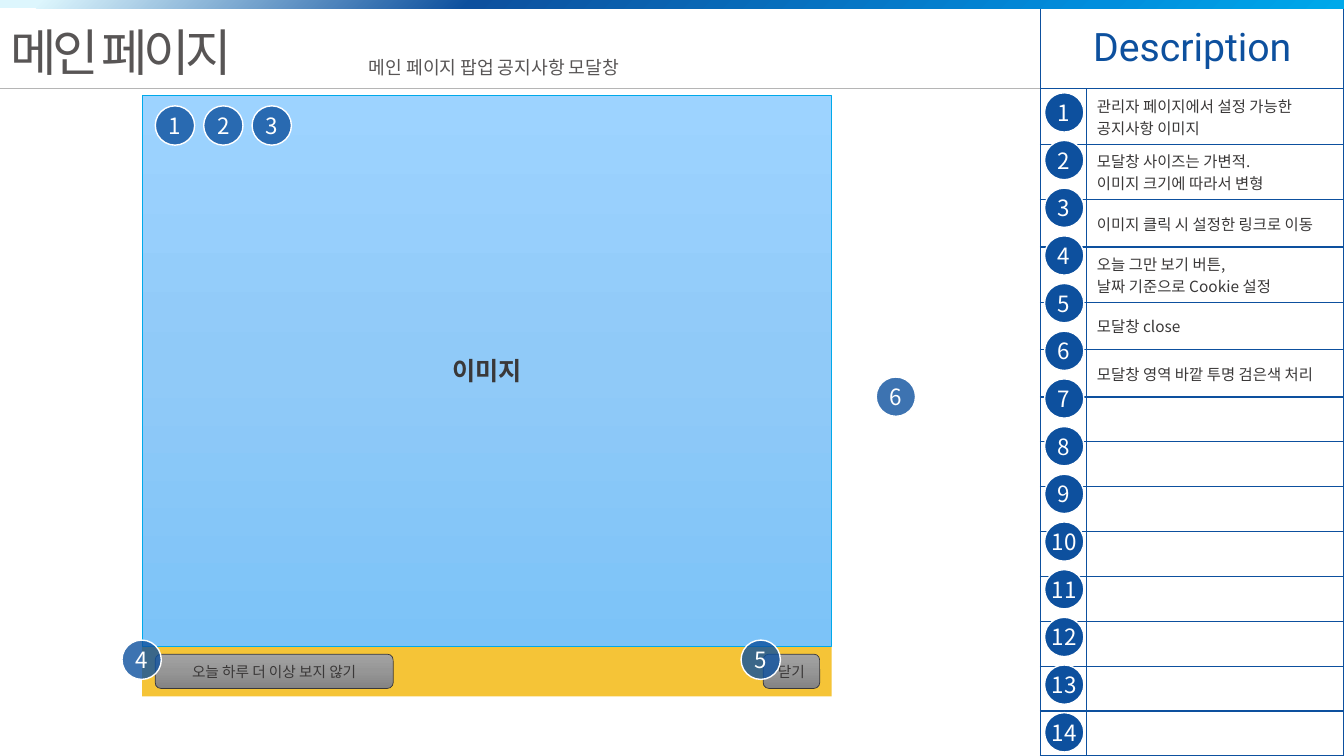
from dataclasses import dataclass
from typing import Optional

import pptx
import pptx.util
from pptx.dml.color import RGBColor
from pptx.enum.shapes import MSO_CONNECTOR, MSO_SHAPE
from pptx.enum.text import MSO_ANCHOR, MSO_AUTO_SIZE, PP_ALIGN
from pptx.oxml.ns import qn
from pptx.util import Inches
from lxml import etree

NAVY = RGBColor(0x0D, 0x50, 0x9E)
CYAN = RGBColor(0x00, 0xA9, 0xEA)
WHITE = RGBColor(0xFF, 0xFF, 0xFF)
DARK = RGBColor(0x3A, 0x38, 0x38)
GRAY = RGBColor(0x58, 0x55, 0x55)
RULE = RGBColor(0xB5, 0xB5, 0xB5)
YELLOW = RGBColor(0xF5, 0xC4, 0x37)

Stops = list[tuple[int, RGBColor]]
BAR_STOPS: Stops = [(3, RGBColor(0xDD, 0xF6, 0xFD)), (35, NAVY),
                    (82, RGBColor(0x01, 0x8E, 0xDD)), (100, CYAN)]
IMAGE_STOPS: Stops = [(0, RGBColor(0x9D, 0xD3, 0xFF)), (50, RGBColor(0x90, 0xCA, 0xF8)),
                      (100, RGBColor(0x7C, 0xC3, 0xF8))]
BUTTON_STOPS: Stops = [(0, RGBColor(0xA3, 0xA3, 0xA3)), (50, RGBColor(0x96, 0x96, 0x96)),
                       (100, RGBColor(0x84, 0x83, 0x83))]

KR = "Noto Sans CJK KR"
BADGE = 0.39
TABLE_TOP, TABLE_H, HEADER_H = 0.08, 7.42, 0.8
LINE_ROW_H = {1: 0.47, 2: 0.55}  # row height by number of text lines


@dataclass
class Badge:
    number: int
    x: float
    y: float
    opacity: int = 80


@dataclass
class Button:
    text: str
    x: float
    w: float


def add_run(p, text: str, size: float, color: RGBColor, font: str = KR,
            bold: bool = False):
    r = p.add_run()
    r.text = text
    r.font.size = pptx.util.Pt(size)
    r.font.color.rgb = color
    r.font.bold = bold
    r.font.name = font
    etree.SubElement(r._r.get_or_add_rPr(), qn("a:ea")).set("typeface", font)
    return r


def set_gradient(sp, stops: Stops, angle: int) -> None:
    sp.fill.gradient()
    sp.fill.gradient_angle = 360 - angle
    gs_list = sp.element.spPr.find(f".//{qn('a:gsLst')}")
    for gs in list(gs_list):
        gs_list.remove(gs)
    for pos, color in stops:
        gs = etree.SubElement(gs_list, qn("a:gs"), pos=str(pos * 1000))
        etree.SubElement(gs, qn("a:srgbClr"), val=str(color))


def add_box(s, kind: MSO_SHAPE, x: float, y: float, w: float, h: float,
            line: Optional[RGBColor] = None, width: float = 0.5):
    sp = s.shapes.add_shape(kind, Inches(x), Inches(y), Inches(w), Inches(h))
    sp.shadow.inherit = False
    if line is None:
        sp.line.fill.background()
    else:
        sp.line.color.rgb = line
        sp.line.width = pptx.util.Pt(width)
    return sp


def add_label(sp, text: str, size: float, color: RGBColor, bold: bool = False) -> None:
    tf = sp.text_frame
    tf.vertical_anchor = MSO_ANCHOR.MIDDLE
    p = tf.paragraphs[0]
    p.alignment = PP_ALIGN.CENTER
    add_run(p, text, size, color, bold=bold)


def add_badge(s, badge: Badge) -> None:
    sp = add_box(s, MSO_SHAPE.OVAL, badge.x, badge.y, BADGE, BADGE, WHITE, 1)
    sp.fill.solid()
    sp.fill.fore_color.rgb = NAVY
    if badge.opacity < 100:
        clr = sp.element.spPr.find(f"{qn('a:solidFill')}/{qn('a:srgbClr')}")
        etree.SubElement(clr, qn("a:alpha"), val=str(badge.opacity * 1000))
    tf = sp.text_frame
    tf.margin_left = tf.margin_right = tf.margin_top = tf.margin_bottom = 0
    add_label(sp, str(badge.number), 16, WHITE)


def add_button(s, button: Button) -> None:
    sp = add_box(s, MSO_SHAPE.ROUNDED_RECTANGLE, button.x, 6.49, button.w, 0.34, DARK)
    set_gradient(sp, BUTTON_STOPS, 90)
    add_label(sp, button.text, 10.5, DARK)


def style_cell(cell) -> None:
    cell.fill.background()
    cell.vertical_anchor = MSO_ANCHOR.MIDDLE
    tcPr = cell._tc.get_or_add_tcPr()
    for i, side in enumerate(("a:lnL", "a:lnR", "a:lnT", "a:lnB")):
        ln = etree.Element(qn(side), w="12700")
        fill = etree.SubElement(ln, qn("a:solidFill"))
        etree.SubElement(fill, qn("a:srgbClr"), val=str(NAVY))
        tcPr.insert(i, ln)


def add_descriptions(s, notes: list[list[str]], count: int) -> None:
    tbl = s.shapes.add_table(count + 1, 2, Inches(10.32), Inches(TABLE_TOP),
                             Inches(3.01), Inches(TABLE_H)).table
    tbl.first_row = tbl.horz_banding = False
    for col, w in zip(tbl.columns, (0.46, 2.55)):
        col.width = Inches(w)
    # Empty rows share the height that the filled rows leave
    heights = [HEADER_H] + [LINE_ROW_H[len(lines)] for lines in notes]
    empty = count - len(notes)
    heights += [(TABLE_H - sum(heights)) / empty] * empty
    for row, h in zip(tbl.rows, heights):
        row.height = Inches(h)
    for cell in tbl.iter_cells():
        style_cell(cell)
    header = tbl.cell(0, 0)
    header.merge(tbl.cell(0, 1))
    p = header.text_frame.paragraphs[0]
    p.alignment = PP_ALIGN.CENTER
    add_run(p, "Description", 28, NAVY, "Roboto")
    for i, lines in enumerate(notes, 1):
        tf = tbl.cell(i, 1).text_frame
        for j, text in enumerate(lines):
            p = tf.add_paragraph() if j else tf.paragraphs[0]
            add_run(p, text, 11, DARK)


def place_text(sp, x: float, y: float, w: float, h: float):
    sp.left, sp.top, sp.width, sp.height = (Inches(v) for v in (x, y, w, h))
    tf = sp.text_frame
    tf.word_wrap = False
    tf.auto_size = MSO_AUTO_SIZE.SHAPE_TO_FIT_TEXT
    tf.vertical_anchor = MSO_ANCHOR.TOP
    p = tf.paragraphs[0]
    p.alignment = PP_ALIGN.LEFT
    return p


NOTES = [
    ["관리자 페이지에서 설정 가능한", "공지사항 이미지"],
    ["모달창 사이즈는 가변적.", "이미지 크기에 따라서 변형"],
    ["이미지 클릭 시 설정한 링크로 이동"],
    ["오늘 그만 보기 버튼,", "날짜 기준으로 Cookie 설정"],
    ["모달창 close"],
    ["모달창 영역 바깥 투명 검은색 처리"],
]
ROWS = 14
INDEX_BADGES = [Badge(i + 1, 10.36, 0.92 + i * 6.15 / (ROWS - 1), 100) for i in range(ROWS)]
IMAGE_BADGES = [Badge(i + 1, 1.54 + 0.48 * i, 1.05) for i in range(3)]
MODAL_BADGES = [Badge(4, 1.21, 6.35), Badge(5, 7.35, 6.35), Badge(6, 8.69, 3.74)]
BUTTONS = [Button("닫기", 7.57, 0.56), Button("오늘 하루 더 이상 보지 않기", 1.54, 2.36)]


def main() -> None:
    prs = pptx.Presentation()
    prs.slide_width, prs.slide_height = Inches(13.33), Inches(7.5)
    s = prs.slides.add_slide(prs.slide_layouts[5])
    # Modal window with its image area
    modal = add_box(s, MSO_SHAPE.RECTANGLE, 1.41, 0.95, 6.84, 5.96)
    modal.fill.solid()
    modal.fill.fore_color.rgb = YELLOW
    image = add_box(s, MSO_SHAPE.RECTANGLE, 1.41, 0.95, 6.84, 5.46, CYAN)
    set_gradient(image, IMAGE_STOPS, 90)
    add_label(image, "이미지", 18, DARK, bold=True)
    # Description column
    add_descriptions(s, NOTES, ROWS)
    # Heading: rule, title, subtitle and top bar
    rule = s.shapes.add_connector(MSO_CONNECTOR.STRAIGHT, 0, Inches(0.88),
                                  Inches(10.32), Inches(0.88))
    rule.line.color.rgb = RULE
    rule.line.width = pptx.util.Pt(1)
    etree.SubElement(rule.element.spPr, qn("a:effectLst"))
    r = add_run(place_text(s.shapes.title, 0, 0.16, 2.65, 0.71), "메인 페이지", 36, GRAY)
    r._r.get_or_add_rPr().set("spc", "-300")
    subtitle = s.shapes.add_textbox(0, 0, 0, 0)
    add_run(place_text(subtitle, 3.56, 0.51, 2.92, 0.32),
            "메인 페이지 팝업 공지사항 모달창", 13, GRAY)
    bar = add_box(s, MSO_SHAPE.RECTANGLE, 0, 0, 13.33, 0.08)
    set_gradient(bar, BAR_STOPS, 45)
    # Buttons and numbered badges
    for button in BUTTONS:
        add_button(s, button)
    for badge in INDEX_BADGES + IMAGE_BADGES + MODAL_BADGES:
        add_badge(s, badge)
    prs.save("out.pptx")


if __name__ == "__main__":
    main()
